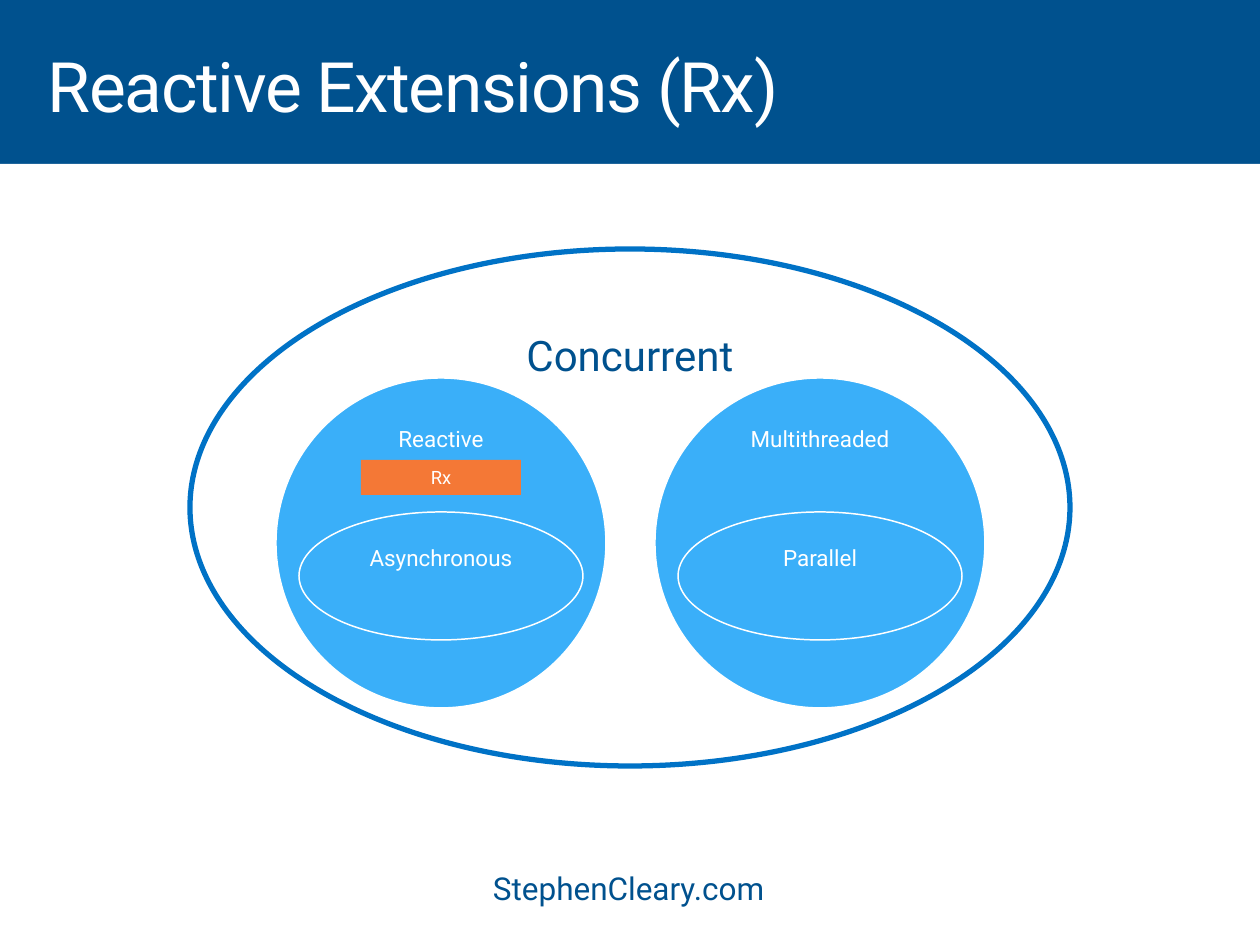
from pptx import Presentation
from pptx.dml.color import RGBColor
from pptx.enum.shapes import MSO_SHAPE
from pptx.enum.text import MSO_ANCHOR, PP_ALIGN
from pptx.util import Emu, Pt

RECT, OVAL = MSO_SHAPE.RECTANGLE, MSO_SHAPE.OVAL
TOP, MIDDLE = MSO_ANCHOR.TOP, MSO_ANCHOR.MIDDLE
LEFT, CENTER = PP_ALIGN.LEFT, PP_ALIGN.CENTER

NAVY = RGBColor(0x00, 0x51, 0x8E)
BLUE = RGBColor(0x00, 0x72, 0xC6)
SKY = RGBColor(0x3A, 0xAF, 0xF9)
ORANGE = RGBColor(0xF4, 0x78, 0x36)
WHITE = RGBColor(0xFF, 0xFF, 0xFF)

FONT = "Roboto"
SCALE = 914400 / 126
WIDTH, HEIGHT = 1260, 945


def px(count):
    """Turn pixels into EMU."""
    return Emu(round(count * SCALE))


def write(shape, text, size, color, pad, align=CENTER, anchor=TOP, lead=0.9):
    """Write one line into a shape and return its run."""
    frame = shape.text_frame
    frame.word_wrap = True
    frame.vertical_anchor = anchor
    frame.margin_left = frame.margin_right = px(pad[0])
    frame.margin_top = frame.margin_bottom = px(pad[1])
    para = frame.paragraphs[0]
    para.alignment = align
    para.line_spacing = lead
    run = para.add_run()
    run.text = text
    run.font.name = FONT
    run.font.size = Pt(size)
    run.font.color.rgb = color
    return run


def add_label(slide, box, text, size, color, pad):
    """Add a left-aligned text box and return its run."""
    label = slide.shapes.add_textbox(*map(px, box))
    return write(label, text, size, color, pad, LEFT)


def add_form(slide, kind, box, fill=None, line=None, weight=0.85):
    """Add a preset shape with an optional fill and line."""
    form = slide.shapes.add_shape(kind, *map(px, box))
    form.shadow.inherit = False
    if fill is None:
        form.fill.background()
    else:
        form.fill.solid()
        form.fill.fore_color.rgb = fill
    if line is None:
        form.line.fill.background()
    else:
        form.line.color.rgb = line
        form.line.width = Pt(weight)
    return form


def add_set(slide, mid, outer, inner):
    """Add a circle and the ellipse nested in it."""
    disc = add_form(slide, OVAL, (mid - 165, 378, 330, 330), SKY, WHITE)
    write(disc, outer, 12.8, WHITE, (10, 2))
    ring = add_form(slide, OVAL, (mid - 142, 512, 284, 128), SKY, WHITE)
    write(ring, inner, 12.8, WHITE, (10, 16))


def main():
    """Build the slide and save it."""
    deck = Presentation()
    deck.slide_width, deck.slide_height = px(WIDTH), px(HEIGHT)
    slide = deck.slides.add_slide(deck.slide_layouts[6])
    back = slide.background.fill
    back.solid()
    back.fore_color.rgb = NAVY

    add_form(slide, RECT, (0, 164, WIDTH, HEIGHT - 164), WHITE)
    add_label(slide, (474, 858, 312, 64), "StephenCleary.com", 18, NAVY, (19, 15))
    title = add_label(slide, (28, 40, 1204, 124), "Reactive Extensions (Rx)",
                      39.7, WHITE, (20, 13))
    title.font._element.set("spc", "-80")

    whole = add_form(slide, OVAL, (190, 249, 880, 517), None, BLUE, 3)
    write(whole, "Concurrent", 24, NAVY, (0, 5), lead=1.0)
    add_set(slide, 441, "Reactive", "Asynchronous")
    add_set(slide, 820, "Multithreaded", "Parallel")
    tag = add_form(slide, RECT, (361, 460, 160, 35), ORANGE)
    write(tag, "Rx", 10.5, WHITE, (0, 5), anchor=MIDDLE, lead=1.0)

    deck.save("out.pptx")


if __name__ == "__main__":
    main()
